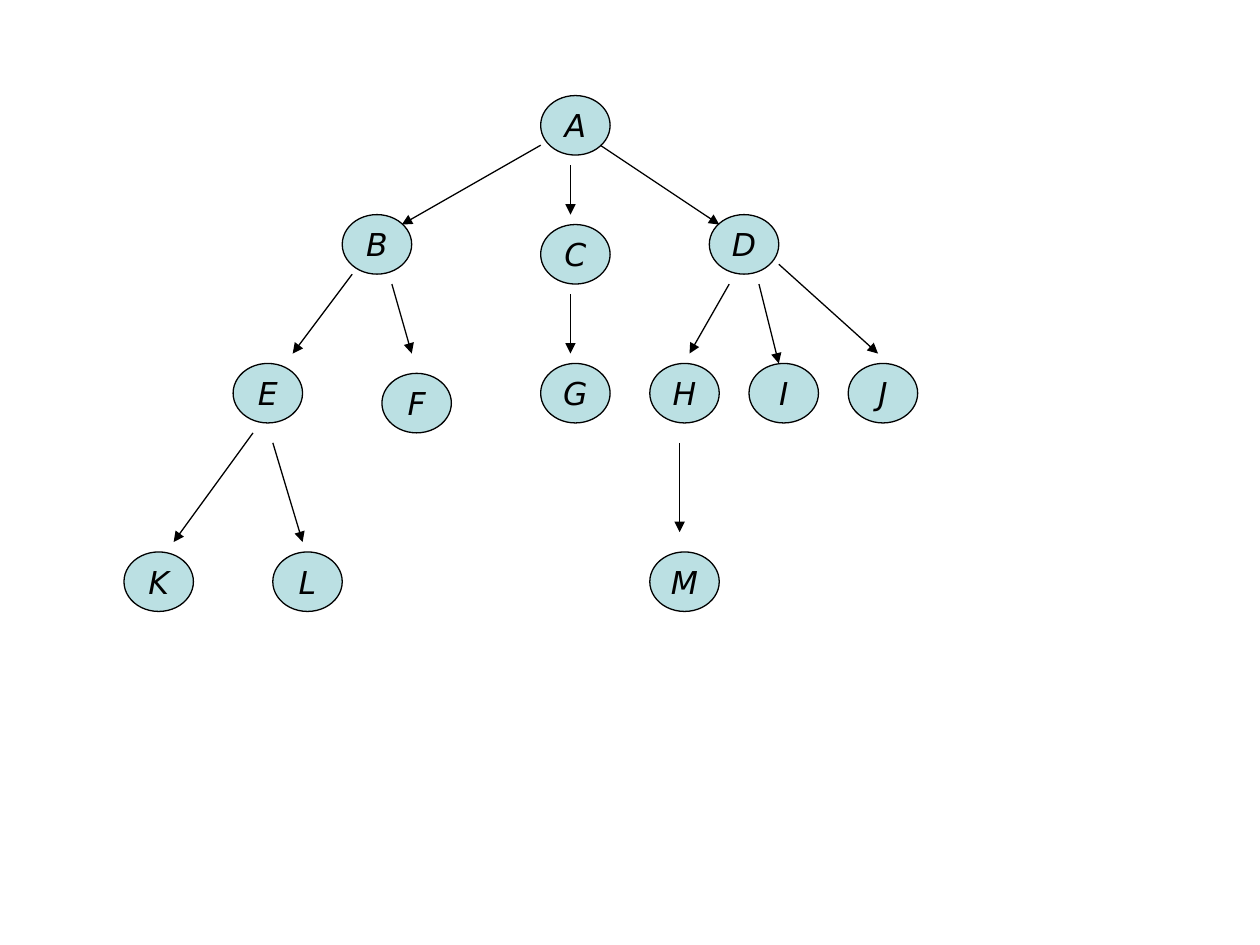
"""Draw a tree of lettered nodes joined by arrows on a two-millimetre grid."""
from dataclasses import dataclass

from lxml.etree import SubElement
from pptx import Presentation
from pptx.dml.color import RGBColor
from pptx.enum.shapes import MSO_CONNECTOR as Connector, MSO_SHAPE as Shape
from pptx.enum.text import MSO_ANCHOR as Anchor, PP_ALIGN as Align
from pptx.oxml.ns import qn
from pptx.util import Inches, Mm, Pt


@dataclass(frozen=True)
class Theme:
    font: str = "DejaVu Sans"
    text_size: float = 18
    line_width: float = 0.75
    ink: RGBColor = RGBColor(0x00, 0x00, 0x00)
    node_fill: RGBColor = RGBColor(0xBB, 0xE0, 0xE3)


class TreeSlide:
    CELL = Mm(2)
    LEFT, TOP = Mm(1), Mm(1.27)
    NODE_COLUMNS, NODE_ROWS = 7, 6

    def __init__(self, slide, theme):
        self.slide = slide
        self.theme = theme

    def place(self, column, row):
        return self.LEFT + column * self.CELL, self.TOP + row * self.CELL

    def style_line(self, line):
        line.color.rgb = self.theme.ink
        line.width = Pt(self.theme.line_width)

    def node(self, letter, column, row):
        shape = self.slide.shapes.add_shape(
            Shape.OVAL, *self.place(column, row),
            self.NODE_COLUMNS * self.CELL, self.NODE_ROWS * self.CELL)
        shape.shadow.inherit = False
        shape.fill.solid()
        shape.fill.fore_color.rgb = self.theme.node_fill
        self.style_line(shape.line)
        frame = shape.text_frame
        frame.word_wrap = False
        frame.vertical_anchor = Anchor.MIDDLE
        paragraph = frame.paragraphs[0]
        paragraph.alignment = Align.CENTER
        run = paragraph.add_run()
        run.text = letter
        run.font.name = self.theme.font
        run.font.size = Pt(self.theme.text_size)
        run.font.italic = True
        run.font.color.rgb = self.theme.ink

    def arrow(self, start, end):
        connector = self.slide.shapes.add_connector(
            Connector.STRAIGHT, *self.place(*start), *self.place(*end))
        self.style_line(connector.line)
        properties = connector.element.spPr
        SubElement(properties.find(qn("a:ln")), qn("a:tailEnd"), type="triangle")
        SubElement(properties, qn("a:effectLst"))


NODES = {
    "A": (54, 9),
    "B": (34, 21), "C": (54, 22), "D": (71, 21),
    "E": (23, 36), "F": (38, 37), "G": (54, 36),
    "H": (65, 36), "I": (75, 36), "J": (85, 36),
    "K": (12, 55), "L": (27, 55), "M": (65, 55),
}

ARROWS = [
    ((54, 14), (40, 22)), ((57, 16), (57, 21)), ((60, 14), (72, 22)),
    ((35, 27), (29, 35)), ((39, 28), (41, 35)), ((57, 29), (57, 35)),
    ((73, 28), (69, 35)), ((76, 28), (78, 36)), ((78, 26), (88, 35)),
    ((25, 43), (17, 54)), ((27, 44), (30, 54)), ((68, 44), (68, 53)),
]


def main():
    presentation = Presentation()
    presentation.slide_width, presentation.slide_height = Inches(10), Inches(7.5)
    slide = presentation.slides.add_slide(presentation.slide_layouts[6])
    tree = TreeSlide(slide, Theme())
    for letter, position in NODES.items():
        tree.node(letter, *position)
    for start, end in ARROWS:
        tree.arrow(start, end)
    presentation.save("out.pptx")


if __name__ == "__main__":
    main()
